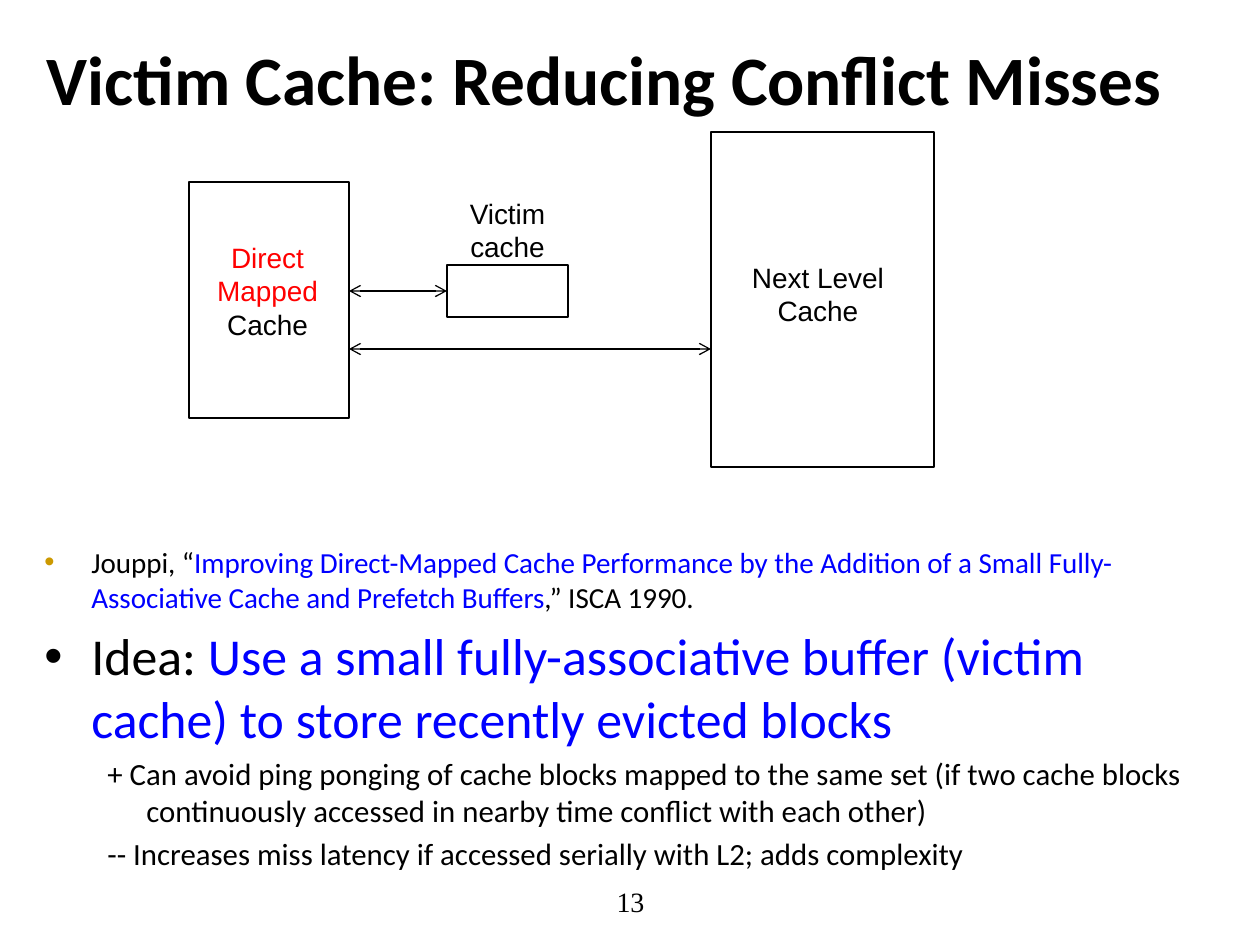
from dataclasses import dataclass
from typing import Optional

from lxml import etree
from pptx import Presentation
from pptx.dml.color import RGBColor
from pptx.enum.shapes import MSO_CONNECTOR, MSO_SHAPE
from pptx.enum.text import MSO_ANCHOR, MSO_AUTO_SIZE, PP_ALIGN
from pptx.oxml.ns import qn
from pptx.util import Emu, Pt

RECT = MSO_SHAPE.RECTANGLE
LINE = MSO_CONNECTOR.STRAIGHT
TOP, MIDDLE = MSO_ANCHOR.TOP, MSO_ANCHOR.MIDDLE
LEFT, CENTER = PP_ALIGN.LEFT, PP_ALIGN.CENTER
BLACK, RED, BLUE, GOLD = "000000", "FF0000", "0000FF", "CC9900"
SANS, BODY, SERIF = "Arial", "Calibri", "Times New Roman"
SCALE = 914400 / 126  # EMU in one px


@dataclass
class Box:
    x: int
    y: int
    w: int
    h: int


@dataclass
class Bit:
    text: str
    color: str = BLACK


@dataclass
class Para:
    bits: list[Bit]
    size: float
    before: float = 0
    margin: int = 0
    indent: int = 0
    bullet: Optional[str] = None  # bullet colour


@dataclass
class Label:
    box: Box
    lines: list[list[Bit]]
    font: str = SANS
    anchor: MSO_ANCHOR = TOP


def px(n: int) -> Emu:
    return Emu(round(n * SCALE))


def rgb(code: str) -> RGBColor:
    return RGBColor.from_string(code)


def place(shape, box: Box) -> None:
    shape.left, shape.top = px(box.x), px(box.y)
    shape.width, shape.height = px(box.w), px(box.h)


def style(run, font: str, size: float, color: str, bold: bool = False) -> None:
    run.font.name, run.font.size, run.font.bold = font, Pt(size), bold
    run.font.color.rgb = rgb(color)


def add_text(slide, box: Box, paras: list[Para], font: str,
             align: PP_ALIGN, anchor: MSO_ANCHOR) -> None:
    shape = slide.shapes.add_textbox(0, 0, 0, 0)
    place(shape, box)
    frame = shape.text_frame
    frame.word_wrap, frame.vertical_anchor = True, anchor
    for i, item in enumerate(paras):
        para = frame.add_paragraph() if i else frame.paragraphs[0]
        para.alignment, para.space_before = align, Pt(item.before)
        for bit in item.bits:
            run = para.add_run()
            run.text = bit.text
            style(run, font, item.size, bit.color)
        props = para._p.get_or_add_pPr()
        props.set("marL", str(px(item.margin)))
        props.set("indent", str(px(item.indent)))
        if item.bullet:
            tint = etree.SubElement(props, qn("a:buClr"))
            etree.SubElement(tint, qn("a:srgbClr"), val=item.bullet)
            etree.SubElement(props, qn("a:buFont"), typeface=SANS)
            etree.SubElement(props, qn("a:buChar"), char="•")


def add_rect(slide, box: Box):
    shape = slide.shapes.add_shape(RECT, 0, 0, 0, 0)
    place(shape, box)
    shape.shadow.inherit = False
    shape.fill.background()
    shape.line.color.rgb = rgb(BLACK)
    shape.line.width = Pt(0.75)
    return shape


def add_arrow(slide, start: int, end: int, y: int):
    line = slide.shapes.add_connector(LINE, px(start), px(y), px(end), px(y))
    line.line.color.rgb = rgb(BLACK)
    line.line.width = Pt(0.75)
    stroke = line.line._get_or_add_ln()
    for tag in ("a:headEnd", "a:tailEnd"):
        etree.SubElement(stroke, qn(tag), type="arrow")
    etree.SubElement(line._element.spPr, qn("a:effectLst"))
    return line


DIRECT = Box(189, 182, 160, 236)
VICTIM = Box(447, 265, 121, 52)
NEXT = Box(711, 132, 223, 335)

LABELS = [
    Label(Box(195, 234, 145, 115),
          [[Bit("Direct Mapped ", RED), Bit("Cache")]]),
    Label(Box(717, 254, 202, 81), [[Bit("Next Level")], [Bit("Cache")]]),
    Label(Box(435, 190, 145, 81), [[Bit("Victim cache")]]),
    Label(Box(431, 876, 399, 50), [[Bit("13")]], SERIF, MIDDLE),
]

POINTS = [
    Para([Bit("Jouppi, “"),
          Bit("Improving Direct-Mapped Cache Performance by the Addition "
              "of a Small Fully-Associative Cache and Prefetch Buffers",
              BLUE),
          Bit(",” ISCA 1990.")], 16.6, 0, 47, -47, GOLD),
    Para([Bit("Idea: "),
          Bit("Use a small fully-associative buffer (victim cache) to "
              "store recently evicted blocks", BLUE)],
         29.6, 5.9, 47, -47, BLACK),
    Para([Bit("+ Can avoid ping ponging of cache blocks mapped to the same "
              "set (if two cache blocks continuously accessed in nearby "
              "time conflict with each other)")], 17.6, 3.5, 102, -39),
    Para([Bit("-- Increases miss latency if accessed serially with L2; "
              "adds complexity")], 17.6, 3.5, 102, -39),
]


def main() -> None:
    deck = Presentation()
    deck.slide_width, deck.slide_height = px(1260), px(945)
    slide = deck.slides.add_slide(deck.slide_layouts[5])

    # Title
    title = slide.shapes.title
    place(title, Box(34, -1, 1166, 158))
    frame = title.text_frame
    frame.text = "Victim Cache: Reducing Conflict Misses"
    frame.auto_size, frame.vertical_anchor = MSO_AUTO_SIZE.NONE, MIDDLE
    frame.paragraphs[0].alignment = LEFT
    style(frame.paragraphs[0].runs[0], BODY, 39.6, BLACK, True)

    # Bulleted text
    add_text(slide, Box(32, 538, 1207, 315), POINTS, BODY, LEFT, TOP)

    # Caches and the paths between them
    add_rect(slide, DIRECT)
    victim = add_rect(slide, VICTIM)
    add_rect(slide, NEXT)
    edge = DIRECT.x + DIRECT.w
    link = add_arrow(slide, edge, VICTIM.x, VICTIM.y + VICTIM.h // 2)
    link.end_connect(victim, 1)
    add_arrow(slide, edge, NEXT.x, 349)

    # Labels and page number
    for label in LABELS:
        paras = [Para(bits, 16) for bits in label.lines]
        add_text(slide, label.box, paras, label.font, CENTER, label.anchor)

    deck.save("out.pptx")


if __name__ == "__main__":
    main()
